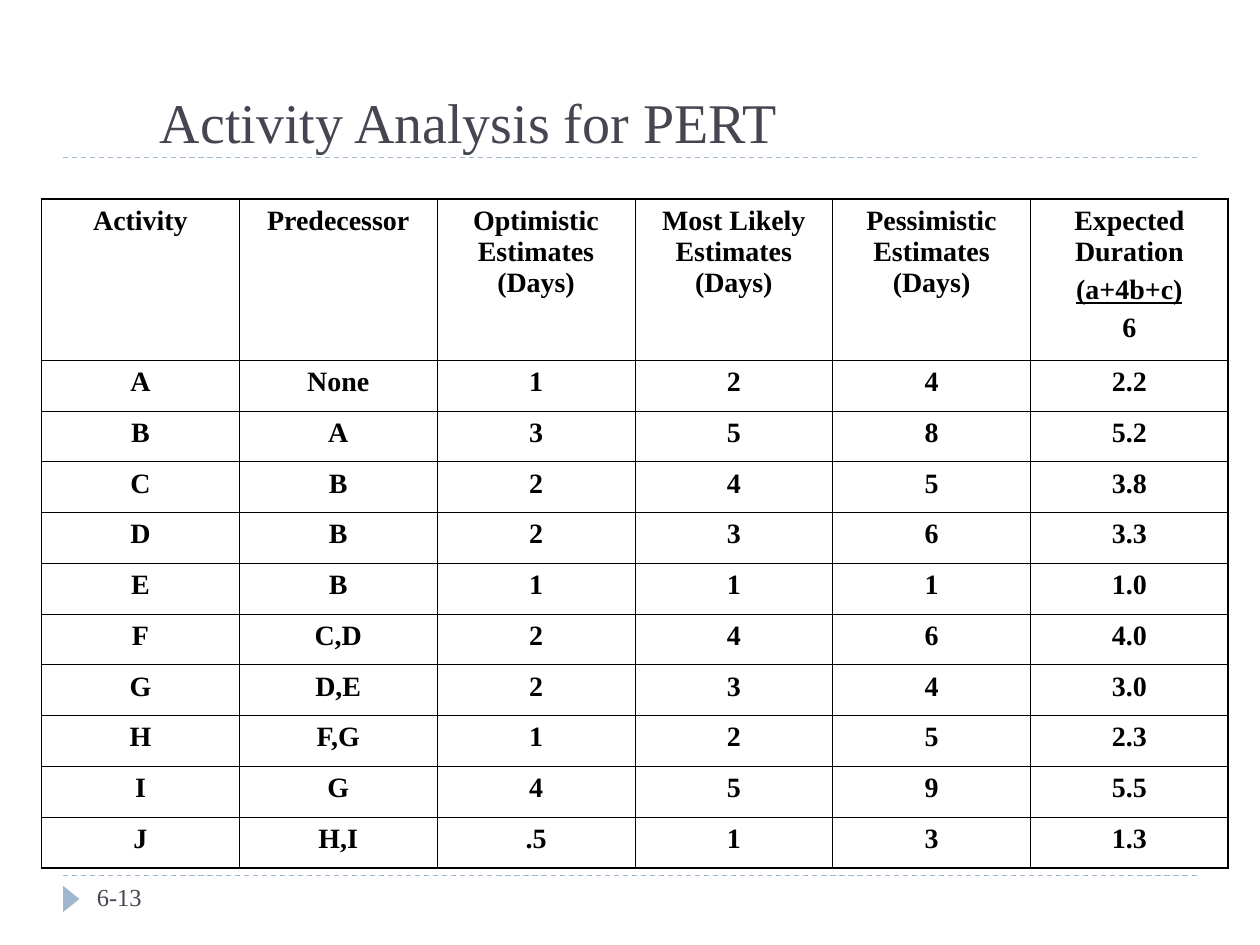
import pptx
import pptx.dml.color
import pptx.enum.dml
import pptx.enum.shapes
import pptx.enum.text
import pptx.oxml.ns
import pptx.util
from lxml import etree

Inches = pptx.util.Inches
Pt = pptx.util.Pt
qn = pptx.oxml.ns.qn

HUES = {"ink": "464653", "pale": "9FB8CD", "black": "000000"}
THIN, THICK = 0.45, 1.08

# Header cells hold one or more paragraphs
HEADS = [
    ["Activity"],
    ["Predecessor"],
    ["Optimistic Estimates (Days)"],
    ["Most Likely Estimates (Days)"],
    ["Pessimistic Estimates (Days)"],
    ["Expected Duration", "(a+4b+c)", "6"],
]
TASKS = [
    ("A", "None", "1", "2", "4", "2.2"),
    ("B", "A", "3", "5", "8", "5.2"),
    ("C", "B", "2", "4", "5", "3.8"),
    ("D", "B", "2", "3", "6", "3.3"),
    ("E", "B", "1", "1", "1", "1.0"),
    ("F", "C,D", "2", "4", "6", "4.0"),
    ("G", "D,E", "2", "3", "4", "3.0"),
    ("H", "F,G", "1", "2", "5", "2.3"),
    ("I", "G", "4", "5", "9", "5.5"),
    ("J", "H,I", ".5", "1", "3", "1.3"),
]


def tint(name):
    return pptx.dml.color.RGBColor.from_string(HUES[name])


class Page:
    font = "Times New Roman"

    def __init__(self, deck):
        self.slide = deck.slides.add_slide(deck.slide_layouts[6])
        self.shapes = self.slide.shapes

    def run(self, para, text, size, hue, bold=False, under=False):
        run = para.add_run()
        run.text = text
        run.font.name = self.font
        run.font.size = Pt(size)
        run.font.bold = bold
        run.font.underline = under
        run.font.color.rgb = tint(hue)

    def text(self, x, y, w, h, text, size, anchor):
        box = self.shapes.add_textbox(Inches(x), Inches(y), Inches(w), Inches(h))
        frame = box.text_frame
        frame.word_wrap = True
        frame.vertical_anchor = anchor
        self.run(frame.paragraphs[0], text, size, "ink")

    def rule(self, x1, x2, y):
        line = self.shapes.add_connector(
            pptx.enum.shapes.MSO_CONNECTOR.STRAIGHT,
            Inches(x1), Inches(y), Inches(x2), Inches(y))
        line.line.color.rgb = tint("pale")
        line.line.width = Pt(0.75)
        line.line.dash_style = pptx.enum.dml.MSO_LINE.DASH
        etree.SubElement(line._element.spPr, qn("a:effectLst"))

    def mark(self, x, y, w, h):
        mark = self.shapes.add_shape(
            pptx.enum.shapes.MSO_SHAPE.ISOSCELES_TRIANGLE,
            Inches(x), Inches(y), Inches(w), Inches(h))
        mark.rotation = 90
        mark.shadow.inherit = False
        mark.fill.solid()
        mark.fill.fore_color.rgb = tint("pale")
        mark.line.fill.background()

    def edge(self, cell, side, width):
        props = cell._tc.get_or_add_tcPr()
        line = etree.SubElement(props, qn("a:ln" + side), w=str(Pt(width)))
        fill = etree.SubElement(line, qn("a:solidFill"))
        etree.SubElement(fill, qn("a:srgbClr"), val=HUES["black"])

    def cell(self, cell, lines):
        for i, text in enumerate(lines):
            frame = cell.text_frame
            para = frame.add_paragraph() if i else frame.paragraphs[0]
            para.alignment = pptx.enum.text.PP_ALIGN.CENTER
            if i:
                para.space_before = Pt(4)
            self.run(para, text, 16, "black", bold=True, under=text == "(a+4b+c)")
        cell.margin_left = cell.margin_right = Inches(0.1)
        cell.margin_top = cell.margin_bottom = Inches(0.05)

    def table(self, x, y, w, h, head, rows):
        tall, wide = len(rows), len(rows[0])
        grid = self.shapes.add_table(
            tall, wide, Inches(x), Inches(y), Inches(w), Inches(h)).table
        grid.first_row = grid.horz_banding = False
        for col in grid.columns:
            col.width = Inches(w / wide)
        for r, row in enumerate(rows):
            grid.rows[r].height = Inches((h - head) / (tall - 1) if r else head)
            for c, lines in enumerate(row):
                cell = grid.cell(r, c)
                self.cell(cell, lines)
                # Thick lines only around the outside
                outer = {"L": c == 0, "R": c == wide - 1,
                         "T": r == 0, "B": r == tall - 1}
                for side, out in outer.items():
                    self.edge(cell, side, THICK if out else THIN)
                cell.fill.background()


def main():
    deck = pptx.Presentation()
    deck.slide_width, deck.slide_height = Inches(10), Inches(7.5)
    page = Page(deck)
    anchor = pptx.enum.text.MSO_ANCHOR

    # Rules and footer marker
    for y in (6.95, 1.25):
        page.rule(0.5, 9.5, y)
    page.mark(0.46, 7.07, 0.21, 0.13)

    # Title
    page.text(1.17, 0.25, 7.39, 1.03, "Activity Analysis for PERT", 32, anchor.BOTTOM)

    # Activity table
    rows = [HEADS] + [[[value] for value in task] for task in TASKS]
    page.table(0.33, 1.58, 9.42, 5.31, 1.28, rows)

    # Page number
    page.text(0.67, 6.95, 2.17, 0.4, "6-13", 14, anchor.TOP)

    deck.save("out.pptx")


if __name__ == "__main__":
    main()
